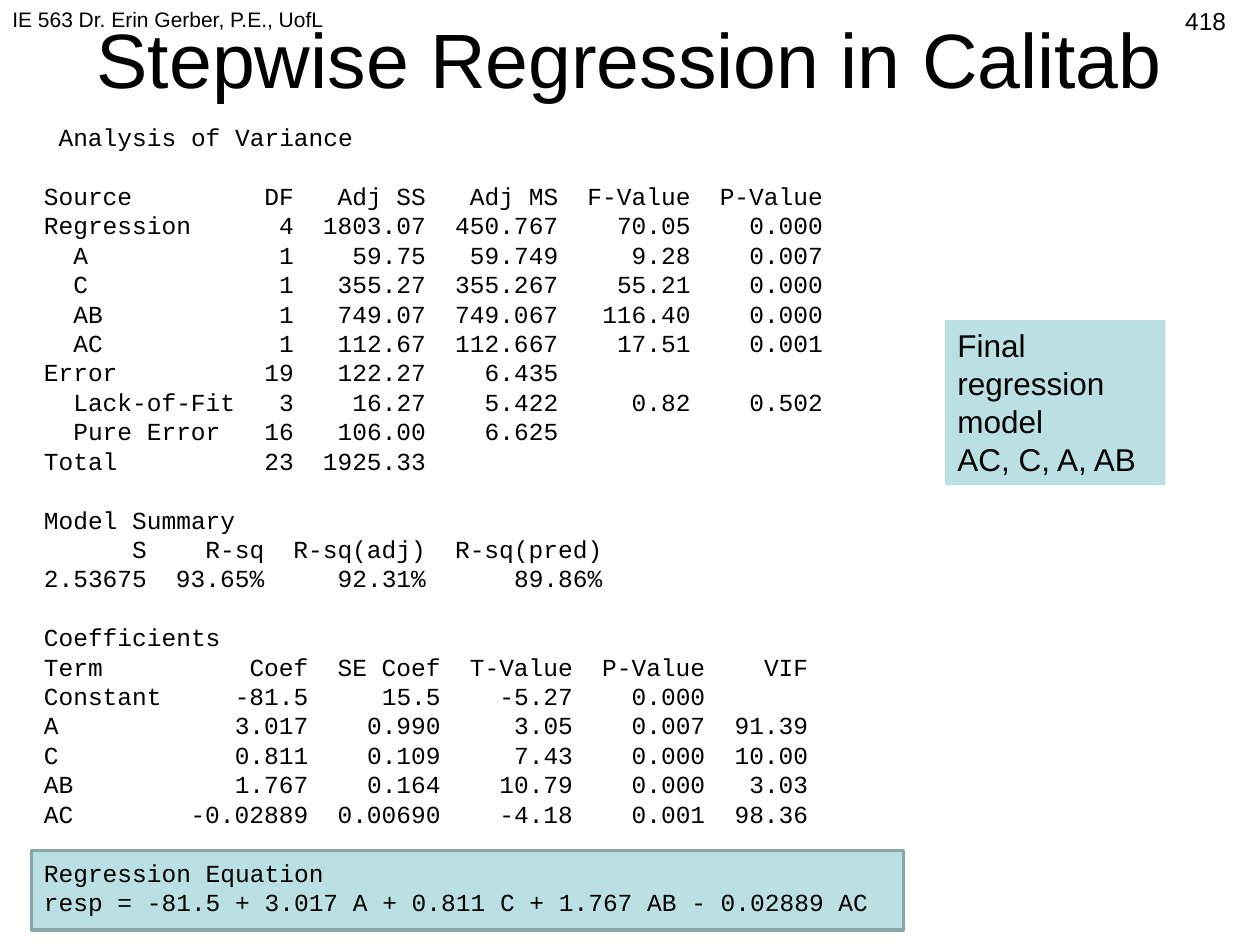
import pptx
import pptx.util
import pptx.dml.color
import pptx.enum.shapes
import pptx.enum.text
import pptx.oxml.ns
from lxml import etree

Inches = pptx.util.Inches
Pt = pptx.util.Pt
ALIGN = pptx.enum.text.PP_ALIGN
ANCHOR = pptx.enum.text.MSO_ANCHOR
FIT = pptx.enum.text.MSO_AUTO_SIZE

HUES = {"ink": "000000", "pale": "BBE0E3", "edge": "8AA6A8"}
CHAR = 8.4
LINE = 16.8

HEAD = ([(1, "l")], ["\tAnalysis of Variance"])
ANOVA = ([(2, "l"), (17, "r"), (26, "r"), (35, "r"), (44, "r"), (53, "r")], [
    "Source\tDF\tAdj SS\tAdj MS\tF-Value\tP-Value",
    "Regression\t4\t1803.07\t450.767\t70.05\t0.000",
    "\tA\t1\t59.75\t59.749\t9.28\t0.007",
    "\tC\t1\t355.27\t355.267\t55.21\t0.000",
    "\tAB\t1\t749.07\t749.067\t116.40\t0.000",
    "\tAC\t1\t112.67\t112.667\t17.51\t0.001",
    "Error\t19\t122.27\t6.435",
    "\tLack-of-Fit\t3\t16.27\t5.422\t0.82\t0.502",
    "\tPure Error\t16\t106.00\t6.625",
    "Total\t23\t1925.33",
])
MODEL = ([(7, "r"), (15, "r"), (26, "r"), (38, "r")], [
    "Model Summary",
    "\tS\tR-sq\tR-sq(adj)\tR-sq(pred)",
    "\t2.53675\t93.65%\t92.31%\t89.86%",
])
COEFS = ([(18, "r"), (27, "r"), (36, "r"), (45, "r"), (52, "r")], [
    "Coefficients",
    "Term\tCoef\tSE Coef\tT-Value\tP-Value\tVIF",
    "Constant\t-81.5\t15.5\t-5.27\t0.000",
    "A\t3.017\t0.990\t3.05\t0.007\t91.39",
    "C\t0.811\t0.109\t7.43\t0.000\t10.00",
    "AB\t1.767\t0.164\t10.79\t0.000\t3.03",
    "AC\t-0.02889\t0.00690\t-4.18\t0.001\t98.36",
])
RULE = ([], [
    "Regression Equation",
    "resp = -81.5 + 3.017 A + 0.811 C + 1.767 AB - 0.02889 AC",
])


def apply(item, form):
    for name, value in form.items():
        setattr(item, name, value)


def color(name):
    return pptx.dml.color.RGBColor.from_string(HUES[name])


def write(para, text, size, face="Arial", **form):
    apply(para, form)
    run = para.add_run()
    run.text = text
    apply(run.font, {"name": face, "size": Pt(size)})
    run.font.color.rgb = color("ink")


def add_stops(para, stops):
    tag = pptx.oxml.ns.qn
    tabs = etree.SubElement(para._p.get_or_add_pPr(), tag("a:tabLst"))
    for col, side in stops:
        etree.SubElement(tabs, tag("a:tab"), pos=str(Pt(col * CHAR)), algn=side)


def add_text(slide, box):
    frame = slide.shapes.add_textbox(*map(Inches, box)).text_frame
    frame.word_wrap = True
    return frame


def add_panel(slide, box, edge=None):
    kind = pptx.enum.shapes.MSO_SHAPE.RECTANGLE
    panel = slide.shapes.add_shape(kind, *map(Inches, box))
    panel.shadow.inherit = False
    panel.fill.solid()
    panel.fill.fore_color.rgb = color("pale")
    if edge:
        panel.line.color.rgb = color(edge)
        panel.line.width = Pt(2)
    else:
        panel.line.fill.background()
    return panel.text_frame


def add_lines(frame, blocks):
    para = frame.paragraphs[0]
    for block, (stops, lines) in enumerate(blocks):
        for row, text in enumerate(lines):
            if block or row:
                para = frame.add_paragraph()
            if stops:
                add_stops(para, stops)
            gap = LINE if block and not row else 0
            write(para, text, 14, "Courier New", line_spacing=Pt(LINE),
                  space_before=Pt(gap))


def add_title(slide, text):
    title = slide.shapes.title
    box = {"left": 0.5, "top": -0.17, "width": 9, "height": 1.25}
    apply(title, {name: Inches(value) for name, value in box.items()})
    frame = title.text_frame
    apply(frame, {"vertical_anchor": ANCHOR.MIDDLE, "word_wrap": True})
    write(frame.paragraphs[0], text, 44, alignment=ALIGN.CENTER)


def add_note(slide, box, lines):
    frame = add_panel(slide, box)
    apply(frame, {"word_wrap": True, "vertical_anchor": ANCHOR.TOP,
                  "auto_size": FIT.SHAPE_TO_FIT_TEXT})
    for row, text in enumerate(lines):
        para = frame.add_paragraph() if row else frame.paragraphs[0]
        write(para, text, 18, alignment=ALIGN.LEFT, line_spacing=Pt(21.7))


def main():
    deck = pptx.Presentation()
    apply(deck, {"slide_width": Inches(10), "slide_height": Inches(7.5)})
    slide = deck.slides.add_slide(deck.slide_layouts[5])
    add_title(slide, "Stepwise Regression in Calitab")
    add_panel(slide, (0.25, 6.75, 6.92, 0.63), "edge")
    report = add_text(slide, (0.25, 0.92, 9.25, 6.46))
    add_lines(report, [HEAD, ANOVA, MODEL, COEFS, RULE])
    course = add_text(slide, (0, 0, 4.17, 0.52))
    write(course.paragraphs[0], "IE 563 Dr. Erin Gerber, P.E., UofL", 12)
    number = add_text(slide, (7.5, 0, 2.33, 0.52))
    write(number.paragraphs[0], "418", 14, alignment=ALIGN.RIGHT)
    add_note(slide, (7.5, 2.54, 1.75, 1.31),
             ["Final regression model", "AC, C, A, AB"])
    deck.save("out.pptx")


if __name__ == "__main__":
    main()
